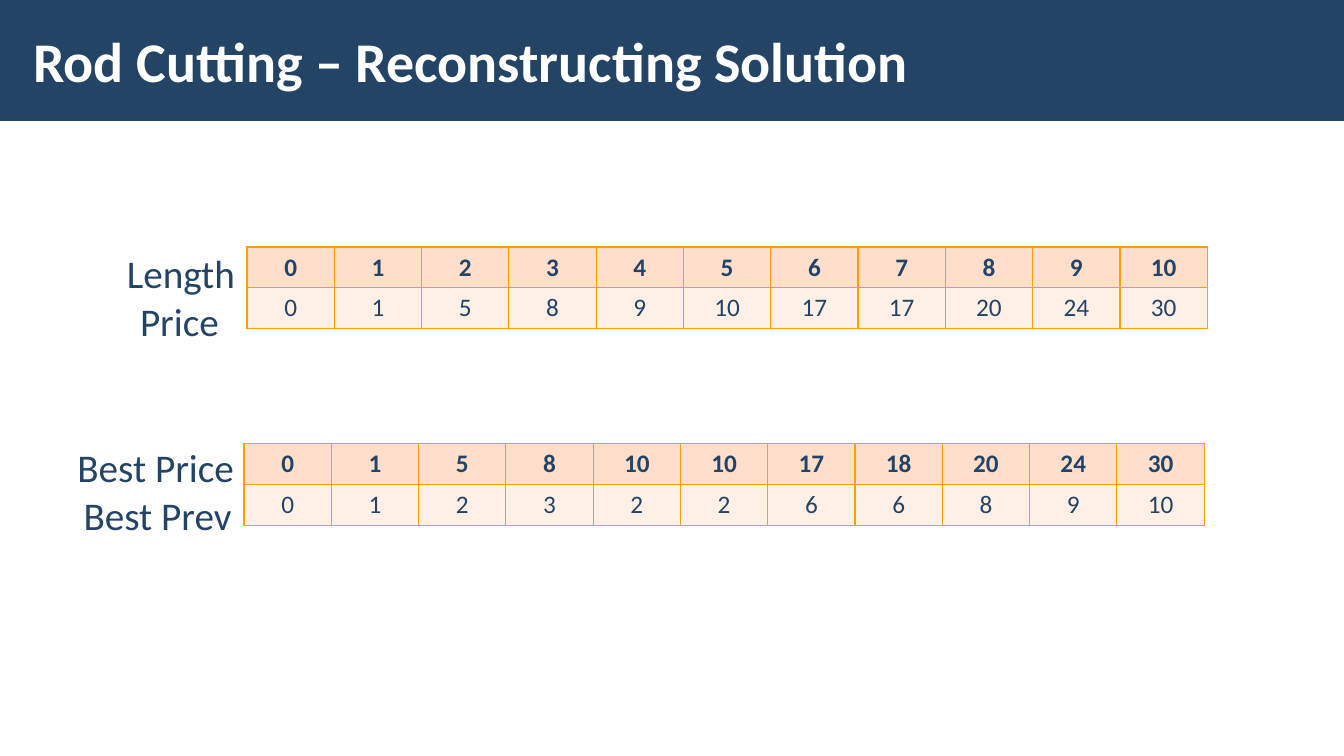
from pptx import Presentation
from pptx import util as u
from pptx.dml.color import RGBColor
from pptx.enum import shapes, text
from pptx.oxml import parse_xml
from pptx.oxml.ns import nsdecls

NAVY, WHITE, AMBER = "234465", "FFFFFF", "FFA000"
ROW_FILLS = ["FFDFCC", "FFF0E7"]
COLUMN_WIDTH, ROW_HEIGHT = 0.866, 0.405


def color(value):
    return RGBColor.from_string(value)


def box_inches(box):
    return [u.Inches(v) for v in box]


def write(tf, content, size=18, fill=NAVY, bold=False, align=text.PP_ALIGN.LEFT):
    p = tf.paragraphs[0]
    p.alignment = align
    r = p.add_run()
    r.text = content
    r.font.name = "Calibri"
    r.font.size = u.Pt(size)
    r.font.bold = bold
    r.font.color.rgb = color(fill)


def add_header(slide, box, title):
    left, top, width, height = box
    banner = slide.shapes.add_shape(shapes.MSO_SHAPE.RECTANGLE, *box_inches(box))
    banner.shadow.inherit = False
    banner.fill.solid()
    banner.fill.fore_color.rgb = color(NAVY)
    banner.line.fill.background()
    sp = slide.shapes.title
    sp._element.addprevious(banner._element)
    sp.left, sp.top, sp.width, sp.height = box_inches(
        (left + 0.21, top + 0.11, 10.63, height - 0.23))
    tf = sp.text_frame
    tf.word_wrap = True
    tf.auto_size = text.MSO_AUTO_SIZE.NONE
    tf.vertical_anchor = text.MSO_ANCHOR.MIDDLE
    tf.margin_left = tf.margin_right = u.Inches(0.12)
    tf.margin_top = tf.margin_bottom = u.Inches(0.04)
    write(tf, title, size=40, fill=WHITE, bold=True)


def add_label(slide, box, content):
    tf = slide.shapes.add_textbox(*box_inches(box)).text_frame
    tf.word_wrap = False
    tf.auto_size = text.MSO_AUTO_SIZE.SHAPE_TO_FIT_TEXT
    write(tf, content, size=28)


def style_cell(cell, fill):
    tcPr = cell._tc.get_or_add_tcPr()
    for side in "LRTB":
        tcPr.append(parse_xml(
            f'<a:ln{side} {nsdecls("a")} w="12700"><a:solidFill>'
            f'<a:srgbClr val="{AMBER}"/></a:solidFill></a:ln{side}>'))
    cell.fill.solid()
    cell.fill.fore_color.rgb = color(fill)


def add_value_table(slide, left, top, rows):
    columns = len(rows[0])
    box = (left, top, columns * COLUMN_WIDTH, len(rows) * ROW_HEIGHT)
    table = slide.shapes.add_table(len(rows), columns, *box_inches(box)).table
    for column in table.columns:
        column.width = u.Inches(COLUMN_WIDTH)
    for i, values in enumerate(rows):
        table.rows[i].height = u.Inches(ROW_HEIGHT)
        for j, value in enumerate(values):
            cell = table.cell(i, j)
            style_cell(cell, ROW_FILLS[i])
            write(cell.text_frame, str(value), bold=i == 0,
                  align=text.PP_ALIGN.CENTER)


def add_labelled_table(slide, left, top, labels, label_top, rows):
    for i, (content, offset, width) in enumerate(labels):
        add_label(slide, (left - offset, label_top + i * 0.48, width, 0.57), content)
    add_value_table(slide, left, top, rows)


def main():
    prs = Presentation()
    prs.slide_width, prs.slide_height = u.Inches(13.33), u.Inches(7.5)
    slide = prs.slides.add_slide(prs.slide_layouts[5])
    add_header(slide, (0, 0, 13.33, 1.2), "Rod Cutting – Reconstructing Solution")
    add_labelled_table(
        slide, 2.45, 2.45, [("Length", 1.29, 1.28), ("Price", 1.16, 0.99)], 2.42,
        [range(11), [0, 1, 5, 8, 9, 10, 17, 17, 20, 24, 30]])
    add_labelled_table(
        slide, 2.42, 4.4, [("Best Price", 1.75, 1.77), ("Best Prev", 1.69, 1.69)], 4.35,
        [[0, 1, 5, 8, 10, 10, 17, 18, 20, 24, 30],
         [0, 1, 2, 3, 2, 2, 6, 6, 8, 9, 10]])
    prs.save("out.pptx")


if __name__ == "__main__":
    main()
